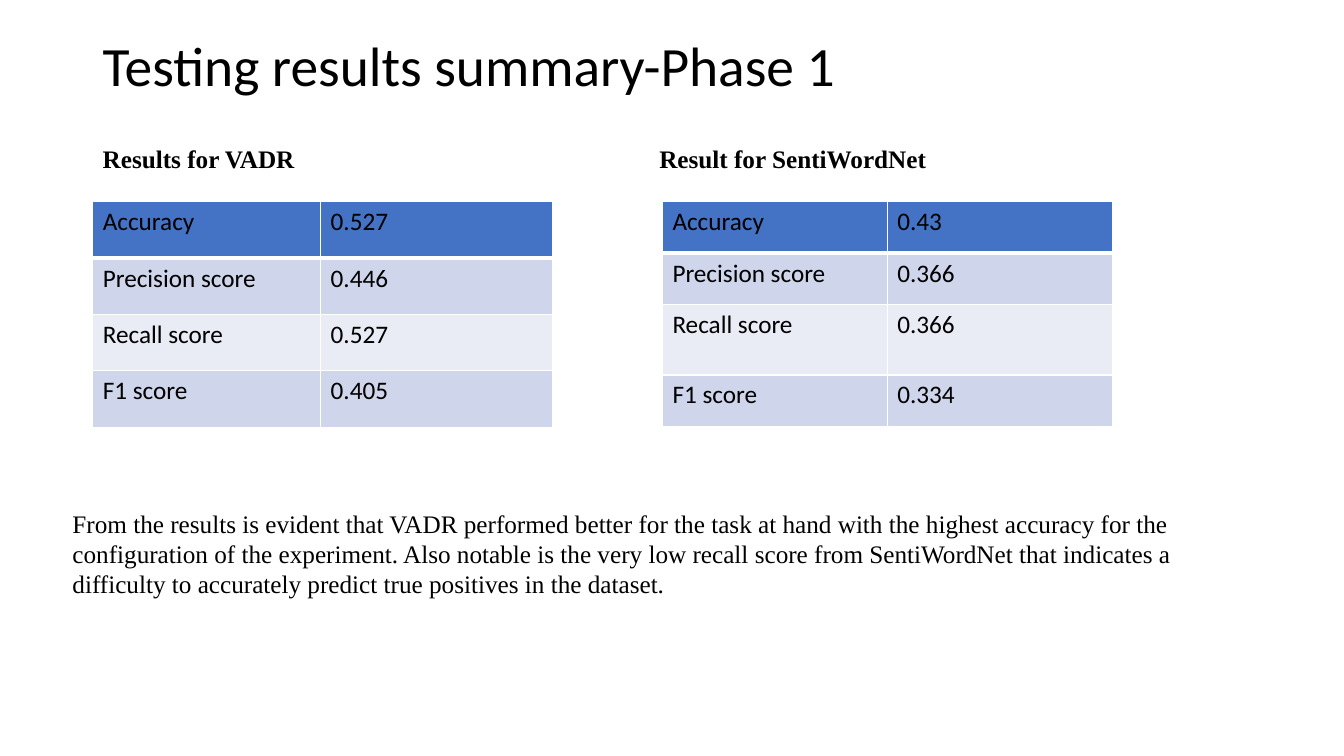
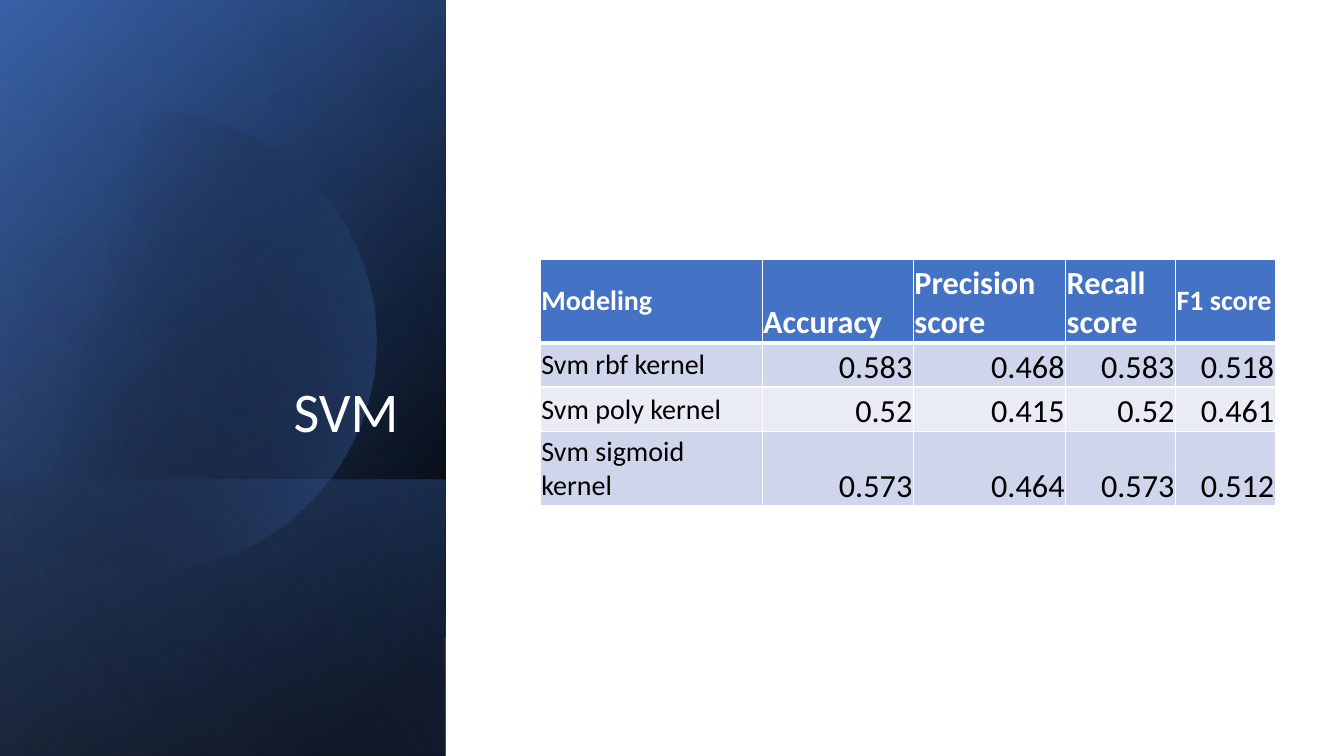
import math

import lxml.etree
import pptx
import pptx.dml.color
import pptx.enum.shapes
import pptx.enum.text
import pptx.oxml.ns
import pptx.util

Inches, Pt = pptx.util.Inches, pptx.util.Pt
ALIGN, ANCHOR = pptx.enum.text.PP_ALIGN, pptx.enum.text.MSO_ANCHOR
RECTANGLE = pptx.enum.shapes.MSO_SHAPE.RECTANGLE
qn = pptx.oxml.ns.qn

BLACK, WHITE, BLUE = "000000", "FFFFFF", "4472C4"
BANDS = ("CFD5EA", "E9EBF5")
SANS, SERIF = "Calibri", "Times New Roman"


def rgb(hex_code):
    return pptx.dml.color.RGBColor.from_string(hex_code)


class Deck:
    """Holds the shared style and the slide being filled."""

    def __init__(self):
        self.prs = pptx.Presentation()
        self.prs.slide_width, self.prs.slide_height = Inches(13.33), Inches(7.5)
        self.slide = None

    def new_slide(self):
        self.slide = self.prs.slides.add_slide(self.prs.slide_layouts[6])

    def add_words(self, frame, text, size, font=SANS, color=BLACK, bold=False,
                  align=ALIGN.LEFT):
        paragraph = frame.paragraphs[0]
        paragraph.alignment = align
        run = paragraph.add_run()
        run.text = text
        run.font.name, run.font.size, run.font.bold = font, Pt(size), bold
        run.font.color.rgb = rgb(color)
        return paragraph

    def text(self, box, text, size=18, anchor=ANCHOR.TOP, **style):
        frame = self.slide.shapes.add_textbox(*map(Inches, box)).text_frame
        frame.word_wrap = True
        frame.vertical_anchor = anchor
        return self.add_words(frame, text, size, **style)

    def title(self, box, text, size=40, **style):
        self.text(box, text, size, **style).line_spacing = 0.9

    # Gradient stops are (position %, colour, opacity %); angle runs clockwise
    def gradient(self, shape, stops, angle):
        shape.shadow.inherit = False
        shape.line.fill.background()
        shape.fill.gradient()
        shape.fill.gradient_angle = 360 - angle
        for stop, (position, color, _) in zip(shape.fill.gradient_stops, stops):
            stop.position = position / 100
            stop.color.rgb = rgb(color)
        colors = shape._element.spPr.iter(qn("a:srgbClr"))
        for node, (_, _, opacity) in zip(colors, stops):
            lxml.etree.SubElement(node, qn("a:alpha"), val=str(opacity * 1000))

    def panel(self, box, stops, angle):
        shape = self.slide.shapes.add_shape(RECTANGLE, *map(Inches, box))
        self.gradient(shape, stops, angle)

    def cut_disc(self, center_x, center_y, radius, stops, angle):
        """Disc cut off by the left slide edge."""
        limit, steps = math.acos(-center_x / radius), 120
        angles = [limit * (2 * i / steps - 1) for i in range(steps + 1)]
        points = [(Inches(center_x + radius * math.cos(a)),
                   Inches(center_y + radius * math.sin(a))) for a in angles]
        outline = self.slide.shapes.build_freeform(*points[0])
        outline.add_line_segments(points[1:], close=True)
        self.gradient(outline.convert_to_shape(), stops, angle)

    def borders(self, cell, row):
        widths = {"L": 1, "R": 1, "T": 3 if row == 1 else 1, "B": 3 if row == 0 else 1}
        for side, width in widths.items():
            line = lxml.etree.SubElement(cell._tc.get_or_add_tcPr(), qn("a:ln" + side),
                                         w=str(int(Pt(width))))
            fill = lxml.etree.SubElement(line, qn("a:solidFill"))
            lxml.etree.SubElement(fill, qn("a:srgbClr"), val=WHITE)

    def table(self, left, top, widths, heights, rows, cell_style, margins=None):
        """cell_style(row, column) gives the text style and the anchor."""
        table = self.slide.shapes.add_table(
            len(rows), len(widths), Inches(left), Inches(top),
            Inches(sum(widths)), Inches(sum(heights))).table
        table.first_row = table.horz_banding = False
        for column, width in zip(table.columns, widths):
            column.width = Inches(width)
        for r, (height, values) in enumerate(zip(heights, rows)):
            table.rows[r].height = Inches(height)
            for c, value in enumerate(values):
                cell = table.cell(r, c)
                self.borders(cell, r)
                cell.fill.solid()
                cell.fill.fore_color.rgb = rgb(BANDS[(r - 1) % 2] if r else BLUE)
                if margins:
                    (cell.margin_left, cell.margin_top, cell.margin_right,
                     cell.margin_bottom) = map(Inches, margins)
                style, cell.vertical_anchor = cell_style(r, c)
                self.add_words(cell.text_frame, value, **style)


def score_style(row, column):
    return {"size": 18}, ANCHOR.TOP


def kernel_style(row, column):
    small = column == 0 or (row == 0 and column == 4)
    style = {"size": 20 if small else 23,
             "color": BLACK if row else WHITE,
             "bold": row == 0,
             "align": ALIGN.RIGHT if row and column else ALIGN.LEFT}
    return style, ANCHOR.MIDDLE if small else ANCHOR.BOTTOM


def phase_summary(deck):
    deck.new_slide()
    deck.title((0.92, 0.4, 11.5, 0.57), "Testing results summary-Phase 1", 39.6,
               anchor=ANCHOR.MIDDLE)

    # One heading and one score table for each lexicon
    metrics = ("Accuracy", "Precision score", "Recall score", "F1 score")
    lexicons = (
        ("Results for VADR", 0.92, 0.92, (2.26, 2.3), (0.56,) * 4,
         ("0.527", "0.446", "0.527", "0.405")),
        ("Result for SentiWordNet", 6.44, 6.57, (2.23, 2.23), (0.51, 0.51, 0.7, 0.51),
         ("0.43", "0.366", "0.366", "0.334")),
    )
    for heading, heading_left, left, widths, heights, scores in lexicons:
        deck.table(left, 2, widths, heights, list(zip(metrics, scores)), score_style)
        deck.text((heading_left, 1.37, 4.32, 0.71), heading, font=SERIF, bold=True)

    # Conclusion
    deck.text((0.62, 4.99, 11.79, 1.31),
              "From the results is evident that VADR performed better for the task at "
              "hand with the highest accuracy for the configuration of the experiment. "
              "Also notable is the very low recall score from SentiWordNet that "
              "indicates a difficulty to accurately predict true positives in the "
              "dataset.", font=SERIF)


def svm_results(deck):
    deck.new_slide()

    # Layered side panel
    side = (0, 0, 4.42, 7.5)
    deck.panel(side, ((8, BLACK, 100), (100, "2F5597", 100)), 220)
    deck.panel(side, ((0, BLACK, 0), (99, BLUE, 46)), 240)
    deck.panel((0, 4.76, 4.42, 2.74), ((2, BLUE, 29), (100, BLACK, 30)), 140)
    deck.cut_disc(1.45, 3.38, 2.28, ((29, BLACK, 0), (100, BLUE, 43)), 14)
    deck.panel(side, ((0, BLACK, 0), (99, "8FAADC", 11)), 150)
    deck.title((0.64, 1.84, 3.41, 2.62), "SVM", anchor=ANCHOR.BOTTOM, color=WHITE,
               align=ALIGN.RIGHT)

    # Scores by kernel
    kernels = (
        ("Modeling", "Accuracy", "Precision score", "Recall score", "F1 score"),
        ("Svm rbf kernel", "0.583", "0.468", "0.583", "0.518"),
        ("Svm poly kernel", "0.52", "0.415", "0.52", "0.461"),
        ("Svm sigmoid kernel", "0.573", "0.464", "0.573", "0.512"),
    )
    deck.table(5.36, 2.57, (2.2, 1.5, 1.51, 1.09, 0.99), (0.83, 0.44, 0.44, 0.74),
               kernels, kernel_style, margins=(0.01, 0.01, 0.01, 0))


def main():
    deck = Deck()
    phase_summary(deck)
    svm_results(deck)
    deck.prs.save("out.pptx")


if __name__ == "__main__":
    main()
